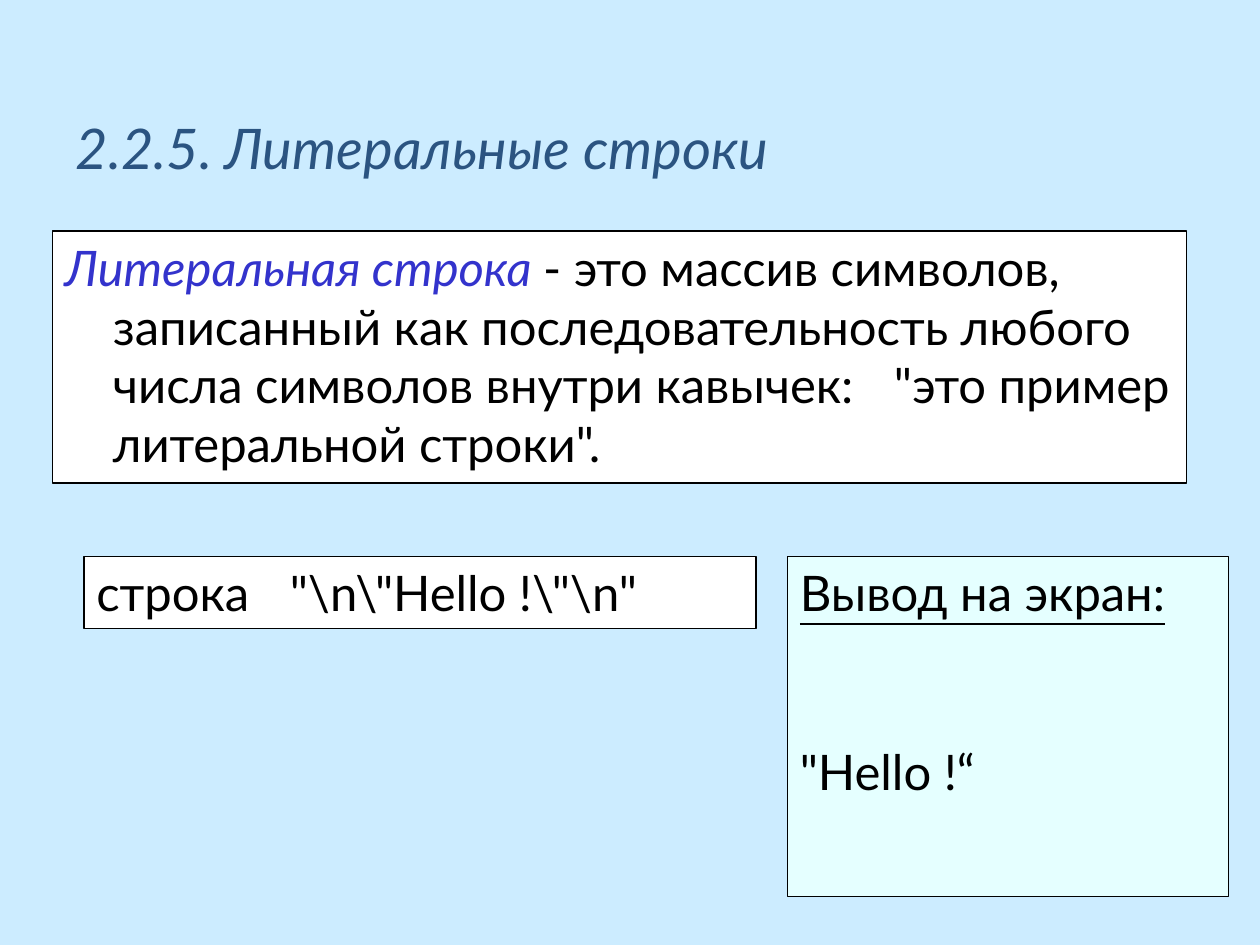
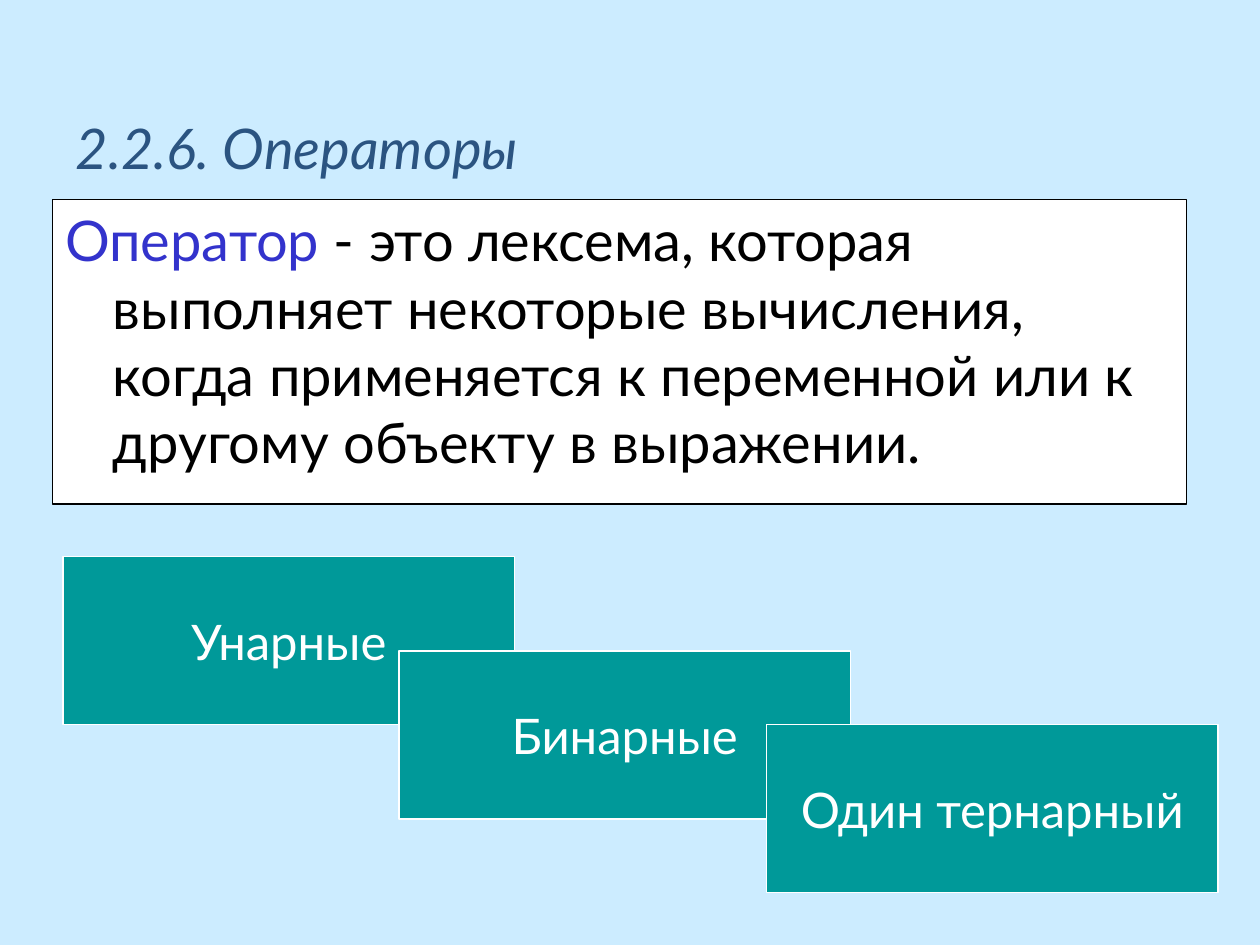
import pptx
import pptx.util
import pptx.dml.color
import pptx.enum.shapes
import pptx.enum.text
from lxml import etree

RGB = pptx.dml.color.RGBColor
ANCHOR = pptx.enum.text.MSO_ANCHOR
ALIGN = pptx.enum.text.PP_ALIGN

# Shared look
SKY = RGB(0xCC, 0xEC, 0xFF)
TITLE_BLUE = RGB(0x2B, 0x54, 0x81)
TERM_BLUE = RGB(0x33, 0x33, 0xCC)
SCREEN = RGB(0xE5, 0xFF, 0xFF)
TEAL = RGB(0x00, 0x99, 0x99)
WHITE = RGB(0xFF, 0xFF, 0xFF)
BLACK = RGB(0, 0, 0)
FONT = "Lato"
TEXT_SIZE = 28
GAP_SPACING = 16  # extra points that widen one space into a gap

# Grid: twelve cells to the inch
COLUMNS, ROWS = 120, 90
CELL = pptx.util.Inches(1) // 12


def place(box, left, top, width, height):
    box.left, box.top, box.width, box.height = (
        round(cells * CELL) for cells in (left, top, width, height))


def paint(box, fill, line):
    box.fill.solid()
    box.fill.fore_color.rgb = fill
    box.line.color.rgb = line
    box.line.width = pptx.util.Pt(0.75)


def style(font, size, color=None, italic=None):
    font.name = FONT
    font.size = pptx.util.Pt(size)
    font.italic = italic
    if color is not None:
        font.color.rgb = color


def add_span(para, text, color=None, italic=None):
    span = para.add_run()
    span.text = text
    if color is not None:
        span.font.color.rgb = color
    span.font.italic = italic
    return span


def add_gap(para):
    """One space, widened by character spacing."""
    gap = add_span(para, " ")
    gap._r.get_or_add_rPr().set("spc", str(GAP_SPACING * 100))


def add_page(deck, heading):
    page = deck.slides.add_slide(deck.slide_layouts[1])
    title = page.shapes.title
    place(title, 6, 5, 108, 18)
    title.text_frame.text = heading
    title.text_frame.vertical_anchor = ANCHOR.MIDDLE
    para = title.text_frame.paragraphs[0]
    para.alignment = ALIGN.LEFT
    style(para.font, 32, TITLE_BLUE, True)
    return page


def add_definition(page, top, height, size, term, italic, text):
    """Fill the body with a term and its meaning; return the paragraph."""
    body = page.placeholders[1]
    place(body, 5, top, 108, height)
    paint(body, WHITE, BLACK)
    body.text_frame.auto_size = pptx.enum.text.MSO_AUTO_SIZE.NONE
    para = body.text_frame.paragraphs[0]
    properties = para._p.get_or_add_pPr()
    indent = pptx.util.Inches(0.38)
    properties.set("marL", str(indent))
    properties.set("indent", str(-indent))
    etree.SubElement(properties, pptx.oxml.ns.qn("a:buNone"))
    para.space_before = pptx.util.Pt(0)
    style(para.font, size, BLACK)
    add_span(para, term, TERM_BLUE, italic)
    add_span(para, text)
    return para


def add_box(page, area, fill, line, color, anchor=ANCHOR.TOP,
            align=ALIGN.LEFT, wrap=True):
    """Add a filled rectangle; return its text frame."""
    box = page.shapes.add_shape(
        pptx.enum.shapes.MSO_SHAPE.RECTANGLE, 0, 0, CELL, CELL)
    place(box, *area)
    paint(box, fill, line)
    box.shadow.inherit = False
    frame = box.text_frame
    frame.word_wrap = wrap
    frame.vertical_anchor = anchor
    para = frame.paragraphs[0]
    para.alignment = align
    style(para.font, TEXT_SIZE, color)
    return frame


def add_literals_page(deck):
    page = add_page(deck, "2.2.5. Литеральные строки")
    para = add_definition(
        page, 22, 24, TEXT_SIZE, "Литеральная строка ", True,
        "- это массив символов, записанный как последовательность "
        "любого числа символов внутри кавычек:")
    add_gap(para)
    add_span(para, '"это пример литеральной строки".')

    # Source string
    source = add_box(page, (8, 53, 64, 6.84), WHITE, BLACK, BLACK)
    para = source.paragraphs[0]
    add_span(para, "строка")
    add_gap(para)
    add_span(para, r'"\n\"Hello !\"\n"')

    # Screen output, set apart from its heading by the printed newline
    screen = add_box(page, (75, 53, 42, 32.4), SCREEN, BLACK, BLACK)
    heading = screen.paragraphs[0]
    add_span(heading, "Вывод на экран:")
    heading.font.underline = True
    printed = screen.add_paragraph()
    add_span(printed, '"Hello !“')
    printed.alignment = ALIGN.LEFT
    printed.space_before = pptx.util.Pt(68.5)
    style(printed.font, TEXT_SIZE, BLACK)


def add_operators_page(deck):
    page = add_page(deck, "2.2.6. Операторы")
    add_definition(
        page, 19, 29, 32, "Оператор ", None,
        "- это лексема, которая выполняет некоторые вычисления, когда "
        "применяется к переменной или к другому объекту в выражении.")

    # Cascade of operator kinds
    kinds = (("Унарные", 6, 53), ("Бинарные", 38, 62),
             ("Один тернарный", 73, 69))
    for kind, left, top in kinds:
        frame = add_box(page, (left, top, 43, 16), TEAL, WHITE, WHITE,
                        ANCHOR.MIDDLE, ALIGN.CENTER, wrap=False)
        add_span(frame.paragraphs[0], kind)


def main():
    deck = pptx.Presentation()
    deck.slide_width, deck.slide_height = COLUMNS * CELL, ROWS * CELL
    backdrop = deck.slide_master.background.fill
    backdrop.solid()
    backdrop.fore_color.rgb = SKY
    add_literals_page(deck)
    add_operators_page(deck)
    deck.save("out.pptx")


if __name__ == "__main__":
    main()
